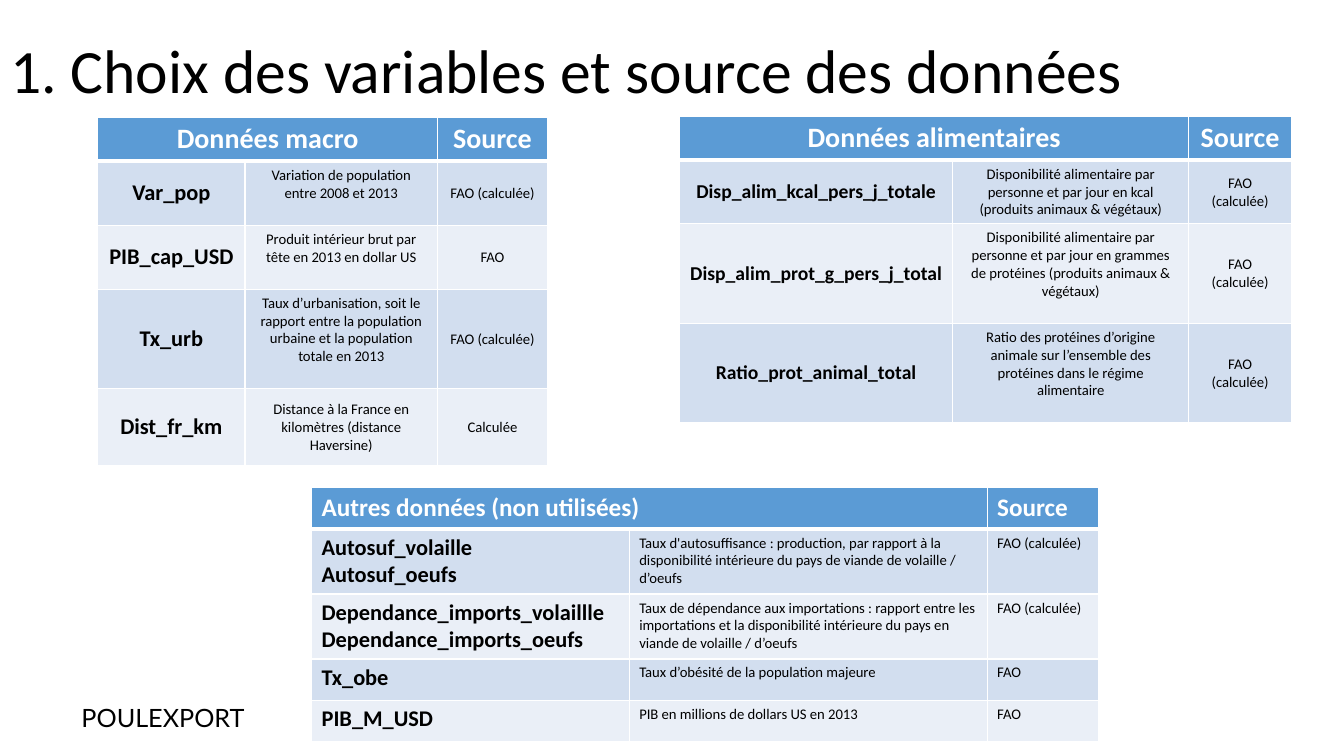
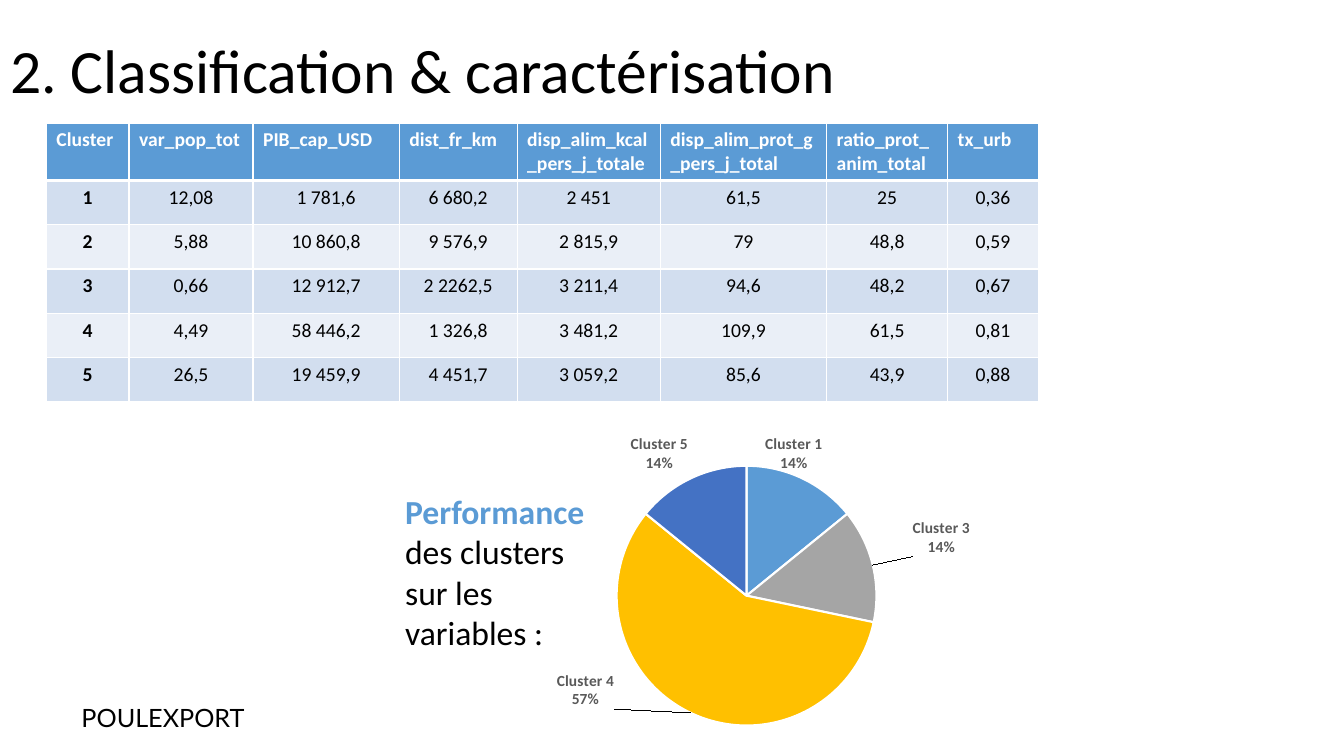
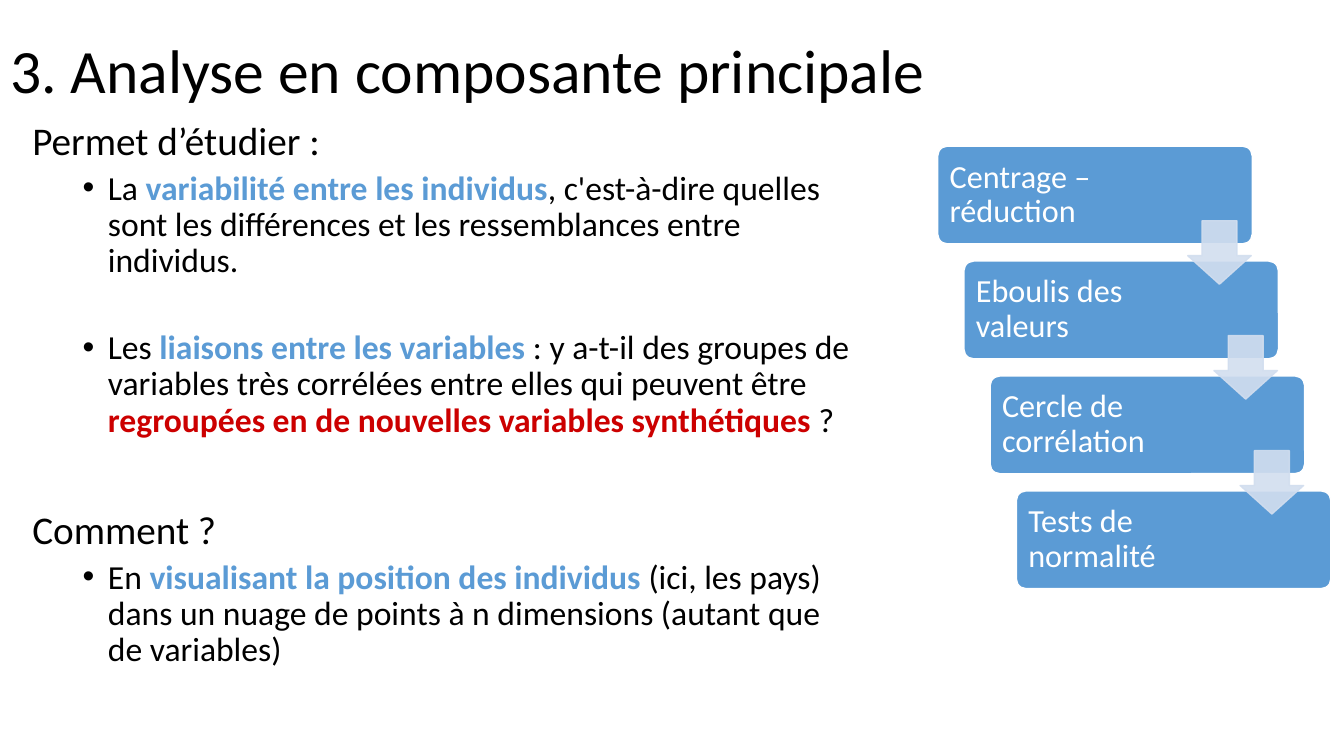
from copy import deepcopy
from dataclasses import dataclass
from typing import NamedTuple

from lxml import etree
from pptx import Presentation
from pptx import util as u
from pptx.chart.data import CategoryChartData
from pptx.dml.color import RGBColor
from pptx.enum import chart as ch, shapes, text
from pptx.oxml import parse_xml
from pptx.oxml.ns import nsdecls, qn

PX = 9144  # EMU per px, 100 px to the inch
COLOURS = {
    "blue": "5B9BD5", "band": "D2DEEF", "light_band": "EAEFF7",
    "white": "FFFFFF", "black": "000000", "red": "CC0000",
    "orange": "ED7D31", "grey": "A5A5A5", "gold": "FFC000",
    "navy": "4472C4", "label": "595959",
}
FONT, FOOTER_FONT = "Calibri", "Lato"
LEFT, CENTRE = text.PP_ALIGN.LEFT, text.PP_ALIGN.CENTER
TOP, MIDDLE = text.MSO_ANCHOR.TOP, text.MSO_ANCHOR.MIDDLE


class Run(NamedTuple):
    words: str
    colour: str = "black"
    bold: bool = False


@dataclass
class Cell:
    lines: list[str]
    size: float
    bold: bool = False
    align: text.PP_ALIGN = CENTRE
    anchor: text.MSO_ANCHOR = TOP
    bottom: int = 5


@dataclass
class Variable:
    names: list[str]
    meaning: str
    source: str
    height: int
    bottom: int = 5


@dataclass
class VariableTable:
    heading: str
    left: int
    top: int
    widths: list[int]
    header_height: int
    header_size: int
    name_size: int
    align: text.PP_ALIGN
    anchor: text.MSO_ANCHOR
    variables: list[Variable]


@dataclass
class Topic:
    runs: list[Run]
    before: int
    bullet: bool = True


VARIABLE_TABLES = [
    VariableTable("Données macro", 97, 116, [146, 191, 109], 43, 20, 16, CENTRE, MIDDLE, [
        Variable(["Var_pop"], "Variation de population entre 2008 et 2013",
                 "FAO (calculée)", 62, 23),
        Variable(["PIB_cap_USD"], "Produit intérieur brut par tête en 2013 en dollar US",
                 "FAO", 62, 23),
        Variable(["Tx_urb"], "Taux d’urbanisation, soit le rapport entre la population "
                 "urbaine et la population totale en 2013", "FAO (calculée)", 99, 23),
        Variable(["Dist_fr_km"], "Distance à la France en kilomètres (distance Haversine)",
                 "Calculée", 76),
    ]),
    VariableTable("Données alimentaires", 674, 115, [271, 234, 102], 43, 20, 14, CENTRE, MIDDLE, [
        Variable(["Disp_alim_kcal_pers_j_totale"], "Disponibilité alimentaire par personne "
                 "et par jour en kcal (produits animaux & végétaux)", "FAO (calculée)", 62),
        Variable(["Disp_alim_prot_g_pers_j_total"], "Disponibilité alimentaire par personne "
                 "et par jour en grammes de protéines (produits animaux & végétaux)",
                 "FAO (calculée)", 98, 23),
        Variable(["Ratio_prot_animal_total"], "Ratio des protéines d’origine animale sur "
                 "l’ensemble des protéines dans le régime alimentaire",
                 "FAO (calculée)", 98, 23),
    ]),
    VariableTable("Autres données (non utilisées)", 309, 484, [315, 355, 111], 41, 18, 16, LEFT, TOP, [
        Variable(["Autosuf_volaille", "Autosuf_oeufs"], "Taux d'autosuffisance : production, "
                 "par rapport à la disponibilité intérieure du pays de viande de volaille / "
                 "d’oeufs", "FAO (calculée)", 63),
        Variable(["Dependance_imports_volaillle", "Dependance_imports_oeufs"],
                 "Taux de dépendance aux importations : rapport entre les importations et la "
                 "disponibilité intérieure du pays en viande de volaille / d’oeufs",
                 "FAO (calculée)", 63),
        Variable(["Tx_obe"], "Taux d’obésité de la population majeure", "FAO", 41),
        Variable(["PIB_M_USD"], "PIB en millions de dollars US en 2013", "FAO", 41),
    ]),
]
CLUSTER_WIDTHS = [82, 123, 145, 117, 142, 165, 120, 90]
CLUSTER_HEADINGS = ["Cluster", "var_pop_tot", "PIB_cap_USD", "dist_fr_km",
                    "disp_alim_kcal_pers_j_totale", "disp_alim_prot_g_pers_j_total",
                    "ratio_prot_anim_total", "tx_urb"]
CLUSTER_MEANS = [
    ["1", "12,08", "1 781,6", "6 680,2", "2 451", "61,5", "25", "0,36"],
    ["2", "5,88", "10 860,8", "9 576,9", "2 815,9", "79", "48,8", "0,59"],
    ["3", "0,66", "12 912,7", "2 2262,5", "3 211,4", "94,6", "48,2", "0,67"],
    ["4", "4,49", "58 446,2", "1 326,8", "3 481,2", "109,9", "61,5", "0,81"],
    ["5", "26,5", "19 459,9", "4 451,7", "3 059,2", "85,6", "43,9", "0,88"],
]
CLUSTER_SHARES = [14, 0, 14, 57, 14]
CLUSTER_COLOURS = ["blue", "orange", "grey", "gold", "navy"]
PIE_AREA = {"x": 0.23, "y": 0.14, "w": 0.46, "h": 0.72}
LABEL_SHIFTS = {0: {"x": -0.07, "y": 0}, 2: {"x": 0.06, "y": -0.02}, 3: {"x": -0.13, "y": -0.13}}
TOPICS = [
    Topic([Run("Permet d’étudier :")], 10, False),
    Topic([Run("La "), Run("variabilité entre les individus", "blue", True),
           Run(", c'est-à-dire quelles sont les différences et les ressemblances "
               "entre individus.")], 5),
    Topic([Run("Les "), Run("liaisons entre les variables ", "blue", True),
           Run(": y a-t-il des groupes de variables très corrélées entre elles qui "
               "peuvent être "),
           Run("regroupées en de nouvelles variables synthétiques ", "red", True),
           Run("?")], 36),
    Topic([Run("Comment ?")], 51, False),
    Topic([Run("En "), Run("visualisant la position des individus ", "blue", True),
           Run("(ici, les pays) dans un nuage de points à n dimensions (autant que "
               "de variables)")], 5),
]
STEPS = ["Centrage – réduction", "Eboulis des valeurs", "Cercle de corrélation",
         "Tests de normalité"]


def px(length: int) -> u.Emu:
    return u.Emu(length * PX)


def rgb(colour: str) -> RGBColor:
    return RGBColor.from_string(COLOURS[colour])


def add_runs(paragraph, runs: list[Run], size: float, font: str = FONT) -> None:
    for part in runs:
        run = paragraph.add_run()
        run.text = part.words
        run.font.name, run.font.size, run.font.bold = font, u.Pt(size), part.bold
        run.font.color.rgb = rgb(part.colour)


def place(shape, left: int, top: int, width: int, height: int) -> None:
    shape.left, shape.top, shape.width, shape.height = map(px, (left, top, width, height))


def add_titled_slide(prs, layout: int, title: str):
    slide = prs.slides.add_slide(prs.slide_layouts[layout])
    place(slide.shapes.title, 0, 0, 1150, 145)
    frame = slide.shapes.title.text_frame
    frame.auto_size, frame.vertical_anchor = text.MSO_AUTO_SIZE.NONE, MIDDLE
    paragraph = frame.paragraphs[0]
    paragraph.alignment, paragraph.line_spacing = LEFT, 0.9
    add_runs(paragraph, [Run(title)], 44)
    return slide


def add_text(slide, box: tuple, runs: list[Run], size: float, font: str, wrap: bool) -> None:
    frame = slide.shapes.add_textbox(*map(px, box)).text_frame
    frame.word_wrap = wrap
    add_runs(frame.paragraphs[0], runs, size, font)


def add_footer(slide) -> None:
    add_text(slide, (71, 692, 198, 40), [Run("POULEXPORT")], 18, FOOTER_FONT, False)


def set_borders(cell, row: int) -> None:
    """White rules, heavier between the header and the body."""
    heavy = {0: "B", 1: "T"}.get(row)
    for side in "LRTB":
        width = u.Pt(3 if side == heavy else 1)
        cell._tc.get_or_add_tcPr().append(parse_xml(
            f'<a:ln{side} {nsdecls("a")} w="{width}"><a:solidFill>'
            f'<a:srgbClr val="{COLOURS["white"]}"/></a:solidFill></a:ln{side}>'))


def add_grid(slide, left: int, top: int, widths: list[int], heights: list[int],
             rows: list[list[Cell | None]]) -> None:
    """Draw a banded table; None joins a cell to the one on its left."""
    table = slide.shapes.add_table(len(rows), len(widths), px(left), px(top),
                                   px(sum(widths)), px(sum(heights))).table
    for column, width in zip(table.columns, widths):
        column.width = px(width)
    for r, (row, height) in enumerate(zip(rows, heights)):
        table.rows[r].height = px(height)
        band = "blue" if r == 0 else ("light_band", "band")[r % 2]
        for c, content in enumerate(row):
            cell = table.cell(r, c)
            set_borders(cell, r)
            cell.fill.solid()
            cell.fill.fore_color.rgb = rgb(band)
            if content is None:
                table.cell(r, c - 1).merge(cell)
                continue
            cell.vertical_anchor = content.anchor
            cell.margin_bottom = px(content.bottom)
            for n, line in enumerate(content.lines):
                frame = cell.text_frame
                paragraph = frame.add_paragraph() if n else frame.paragraphs[0]
                paragraph.alignment = content.align
                colour = "black" if r else "white"
                add_runs(paragraph, [Run(line, colour, content.bold)], content.size)


def add_variable_table(slide, spec: VariableTable) -> None:
    def header(words: str) -> Cell:
        return Cell([words], spec.header_size, True, spec.align)

    rows = [[header(spec.heading), None, header("Source")]]
    for var in spec.variables:
        rows.append([
            Cell(var.names, spec.name_size, True, spec.align, spec.anchor),
            Cell([var.meaning], 10.5, False, spec.align, spec.anchor, var.bottom),
            Cell([var.source], 10.5, False, spec.align, spec.anchor),
        ])
    heights = [spec.header_height] + [var.height for var in spec.variables]
    add_grid(slide, spec.left, spec.top, spec.widths, heights, rows)


def manual_layout(values: dict[str, float], modes: str = ""):
    entries = "".join(f'<c:{key} val="{value}"/>' for key, value in values.items())
    return parse_xml(f'<c:layout {nsdecls("c")}><c:manualLayout>{modes}{entries}'
                     '</c:manualLayout></c:layout>')


def set_point_labels(labels) -> None:
    """Move some labels off their slices and drop those of empty slices."""
    group = labels._element
    shared = [item for item in group if item.tag != qn("c:showLeaderLines")]
    position = 0
    for index, share in enumerate(CLUSTER_SHARES):
        if share and index not in LABEL_SHIFTS:
            continue
        label = parse_xml(f'<c:dLbl {nsdecls("c")}><c:idx val="{index}"/></c:dLbl>')
        if share:
            label.append(manual_layout(LABEL_SHIFTS[index]))
            label.extend(deepcopy(shared))
        else:
            etree.SubElement(label, qn("c:delete")).set("val", "1")
        group.insert(position, label)
        position += 1


def add_cluster_pie(slide) -> None:
    data = CategoryChartData()
    data.categories = [f"Cluster {n + 1}" for n in range(len(CLUSTER_SHARES))]
    data.add_series("Series 1", CLUSTER_SHARES)
    chart = slide.shapes.add_chart(ch.XL_CHART_TYPE.PIE, px(481), px(412), px(564), px(358),
                                   data).chart
    chart.has_title = chart.has_legend = False
    chart.font.name, chart.font.size = FONT, u.Pt(10)
    chart.font.color.rgb = rgb("black")
    plot = chart.plots[0]
    plot.vary_by_categories = True
    for index, colour in enumerate(CLUSTER_COLOURS):
        look = plot.series[0].points[index].format
        look.fill.solid()
        look.fill.fore_color.rgb = rgb(colour)
        look.line.color.rgb, look.line.width = rgb("white"), u.Pt(1.5)

    labels = plot.series[0].data_labels
    labels.show_value = labels.show_category_name = True
    labels.number_format, labels.number_format_is_linked = '0"%"', False
    labels.position = ch.XL_LABEL_POSITION.OUTSIDE_END
    labels.font.name, labels.font.size, labels.font.bold = FONT, u.Pt(11), True
    labels.font.color.rgb = rgb("label")
    separator = etree.Element(qn("c:separator"))
    separator.text = "\n"
    labels._element.find(qn("c:showBubbleSize")).addnext(separator)
    set_point_labels(labels)

    area = chart._chartSpace.find(f'.//{qn("c:plotArea")}')
    for default in area.findall(qn("c:layout")):
        area.remove(default)
    area.insert(0, manual_layout(PIE_AREA, '<c:layoutTarget val="inner"/><c:xMode val="edge"/>'
                                           '<c:yMode val="edge"/>'))


def fill_topics(body) -> None:
    place(body, 22, 116, 838, 577)
    frame = body.text_frame
    frame.auto_size, frame.vertical_anchor = text.MSO_AUTO_SIZE.NONE, TOP
    for n, topic in enumerate(TOPICS):
        paragraph = frame.add_paragraph() if n else frame.paragraphs[0]
        paragraph.level = int(topic.bullet)
        paragraph.alignment, paragraph.line_spacing = LEFT, 0.9
        paragraph.space_before = u.Pt(topic.before)
        props = paragraph._p.get_or_add_pPr()
        props.set("marL", str(px(75 if topic.bullet else 0)))
        props.set("indent", str(px(-25 if topic.bullet else 0)))
        if topic.bullet:
            etree.SubElement(props, qn("a:buFont")).set("typeface", "Arial")
            etree.SubElement(props, qn("a:buChar")).set("char", "•")
        else:
            etree.SubElement(props, qn("a:buNone"))
        add_runs(paragraph, topic.runs, 24 if topic.bullet else 28)


def add_block(slide, kind, box: tuple, fill: str, line: str, adjustments: list[float]):
    block = slide.shapes.add_shape(kind, *map(px, box))
    block.shadow.inherit = False
    block.fill.solid()
    block.fill.fore_color.rgb = rgb(fill)
    block.line.color.rgb, block.line.width = rgb(line), u.Pt(1)
    for index, value in enumerate(adjustments):
        block.adjustments[index] = value
    return block


def add_staircase(slide) -> None:
    """Boxes stepping down to the right, then the arrows that join them."""
    shift, drop = 26, 114
    for n, step in enumerate(STEPS):
        box = add_block(slide, shapes.MSO_SHAPE.ROUNDED_RECTANGLE,
                        (930 + n * shift, 145 + n * drop, 312, 97), "blue", "white", [0.1])
        frame = box.text_frame
        frame.word_wrap, frame.vertical_anchor = True, MIDDLE
        frame.margin_left, frame.margin_right = px(9), px(103)
        paragraph = frame.paragraphs[0]
        paragraph.alignment, paragraph.line_spacing = LEFT, 0.9
        add_runs(paragraph, [Run(step, "white")], 23)
    for n in range(len(STEPS) - 1):
        arrow = add_block(slide, shapes.MSO_SHAPE.DOWN_ARROW,
                          (1178 + n * shift, 219 + n * drop, 63, 63), "band", "band",
                          [0.55, 0.45])
        for colour in arrow._element.spPr.iter(qn("a:srgbClr")):
            etree.SubElement(colour, qn("a:alpha")).set("val", "90000")


def main() -> None:
    prs = Presentation()
    prs.slide_width, prs.slide_height = px(1333), px(750)

    sources = add_titled_slide(prs, 5, "1. Choix des variables et source des données")
    for spec in VARIABLE_TABLES:
        add_variable_table(sources, spec)
    add_footer(sources)

    clusters = add_titled_slide(prs, 5, "2. Classification & caractérisation")
    add_footer(clusters)
    rows = [[Cell([words], 14, True, LEFT) for words in CLUSTER_HEADINGS]]
    rows += [[Cell([mean], 14, c == 0) for c, mean in enumerate(means)]
             for means in CLUSTER_MEANS]
    add_grid(clusters, 46, 122, CLUSTER_WIDTHS, [57] + [44] * len(CLUSTER_MEANS), rows)
    add_cluster_pie(clusters)
    add_text(clusters, (392, 482, 220, 172),
             [Run("Performance ", "blue", True), Run("des clusters sur les variables :")],
             24, FONT, True)

    analysis = add_titled_slide(prs, 1, "3. Analyse en composante principale")
    fill_topics(analysis.placeholders[1])
    add_staircase(analysis)

    prs.save("out.pptx")


if __name__ == "__main__":
    main()
